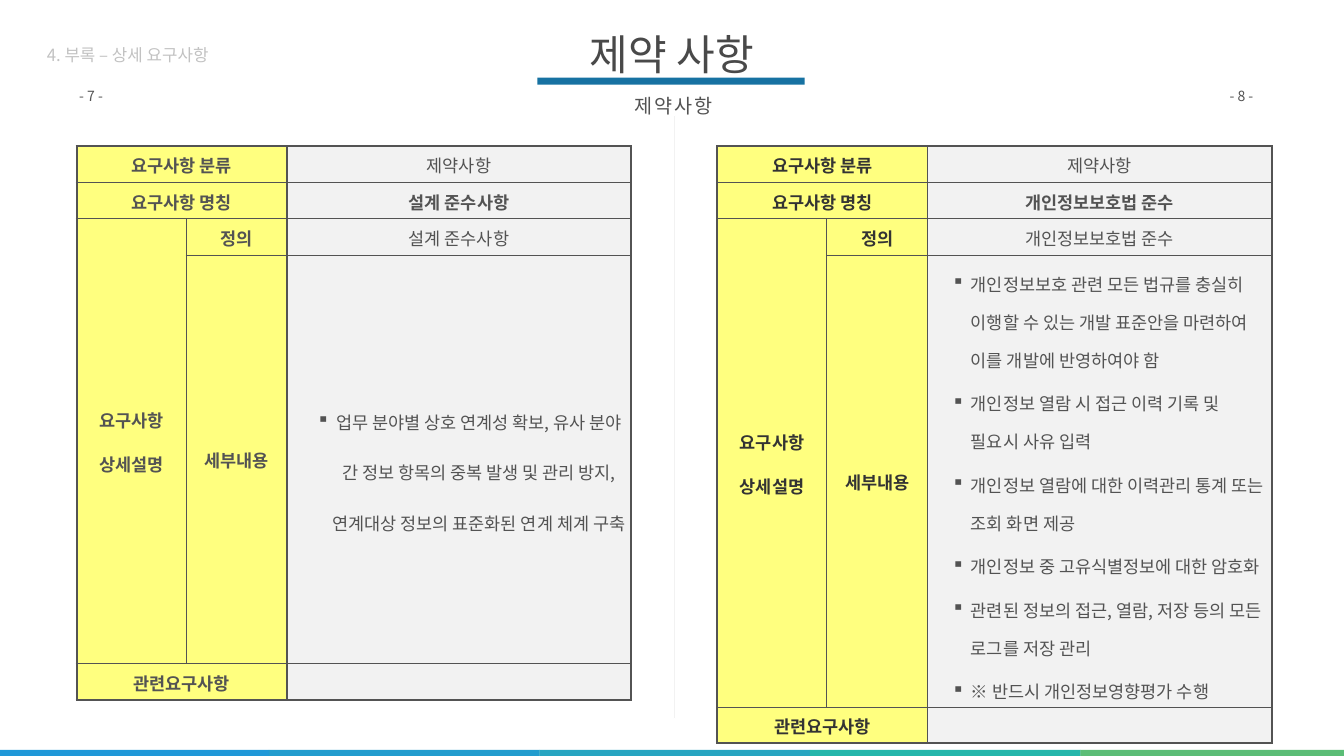
import pptx
import pptx.dml.color
import pptx.enum.shapes
import pptx.enum.text
import pptx.oxml
import pptx.oxml.ns
import pptx.util
from lxml import etree

Inches, Pt = pptx.util.Inches, pptx.util.Pt
qn = pptx.oxml.ns.qn
PP_ALIGN = pptx.enum.text.PP_ALIGN
MIDDLE = pptx.enum.text.MSO_ANCHOR.MIDDLE

COLORS = {
    "text": "535353", "dark": "333333", "title": "494949", "muted": "C2C2C2",
    "label": "FFFF00", "value": "F2F2F2", "white": "FFFFFF", "underline": "1772A2",
}
FOOTER_COLORS = ["1F98D8", "229CCE", "27A5C1", "24B6AB", "5BBD76"]
FONT = "Noto Sans CJK KR"

# Requirement tables: sizes in inches, border widths in points
COLUMN_WIDTHS = [2.17, 2, 6.83]
ROW_HEIGHTS = [0.72, 0.72, 0.72, 8.11, 0.72]
COLUMN_EDGES = [3, 1, 2.25, 3]
ROW_EDGES = [3, 1, 1, 1, 1, 3]
LABELS = {
    (0, 0): ["요구사항 분류"],
    (1, 0): ["요구사항 명칭"],
    (2, 0): ["요구사항", "상세설명"],
    (2, 1): ["정의"],
    (3, 1): ["세부내용"],
    (4, 0): ["관련요구사항"],
}
DESIGN_DETAILS = [
    "업무 분야별 상호 연계성 확보, 유사 분야 간 정보 항목의 중복 발생 및 관리 방지, "
    "연계대상 정보의 표준화된 연계 체계 구축",
]
PRIVACY_DETAILS = [
    "개인정보보호 관련 모든 법규를 충실히 이행할 수 있는 개발 표준안을 마련하여 이를 개발에 반영하여야 함",
    "개인정보 열람 시 접근 이력 기록 및 필요시 사유 입력",
    "개인정보 열람에 대한 이력관리 통계 또는 조회 화면 제공",
    "개인정보 중 고유식별정보에 대한 암호화",
    "관련된 정보의 접근, 열람, 저장 등의 모든 로그를 저장 관리",
    "※ 반드시 개인정보영향평가 수행",
]


def rgb(hex_color):
    return pptx.dml.color.RGBColor.from_string(hex_color)


class SlideBuilder:
    def __init__(self, slide):
        self.slide = slide

    def style(self, paragraph, size, color, bold=False, spacing=None):
        font = paragraph.font
        font.name, font.size, font.bold = FONT, Pt(size), bold
        font.color.rgb = rgb(color)
        properties = paragraph._p.pPr.find(qn("a:defRPr"))
        latin = properties.find(qn("a:latin"))
        east_asian = etree.Element(qn("a:ea"), typeface=FONT)
        latin.addnext(east_asian)
        if spacing:
            properties.set("spc", str(spacing * 100))

    def bullet(self, paragraph):
        properties = paragraph._p.get_or_add_pPr()
        properties.set("marL", str(Inches(0.79)))
        properties.set("indent", str(Inches(-0.38)))
        etree.SubElement(properties, qn("a:buSzPct"), val="99000")
        etree.SubElement(properties, qn("a:buChar"), char="▪")

    def rect(self, left, top, width, height, color, outline=None, rotation=0):
        shape = self.slide.shapes.add_shape(
            pptx.enum.shapes.MSO_SHAPE.RECTANGLE,
            Inches(left), Inches(top), Inches(width), Inches(height))
        shape.shadow.inherit = False
        shape.rotation = rotation
        shape.fill.solid()
        shape.fill.fore_color.rgb = rgb(color)
        if outline:
            shape.line.color.rgb = rgb(outline)
            shape.line.width = Pt(1)
        else:
            shape.line.fill.background()

    def title(self, left, top, width, height, words):
        heading = self.slide.shapes.title
        heading.left, heading.top = Inches(left), Inches(top)
        heading.width, heading.height = Inches(width), Inches(height)
        heading.text_frame.text = words
        heading.text_frame.vertical_anchor = MIDDLE
        paragraph = heading.text_frame.paragraphs[0]
        paragraph.alignment = PP_ALIGN.CENTER
        self.style(paragraph, 60, COLORS["title"])

    def text(self, left, top, width, height, words, size, color,
             insets=(0.05, 0.05), wrap=True, align=PP_ALIGN.LEFT,
             line_spacing=1.0, space_before=0, spacing=None):
        frame = self.slide.shapes.add_textbox(
            Inches(left), Inches(top), Inches(width), Inches(height)).text_frame
        frame.margin_left = frame.margin_right = Inches(insets[0])
        frame.margin_top = frame.margin_bottom = Inches(insets[1])
        frame.word_wrap = wrap
        frame.text = words
        paragraph = frame.paragraphs[0]
        paragraph.alignment = align
        paragraph.line_spacing = line_spacing
        paragraph.space_before = Pt(space_before)
        self.style(paragraph, size, color, spacing=spacing)

    def borders(self, cell, row, column):
        widths = {
            "a:lnL": COLUMN_EDGES[column],
            "a:lnR": COLUMN_EDGES[column + cell.span_width],
            "a:lnT": ROW_EDGES[row],
            "a:lnB": ROW_EDGES[row + cell.span_height],
        }
        for position, (tag, width) in enumerate(widths.items()):
            line = etree.Element(qn(tag), w=str(Pt(width)))
            fill = etree.SubElement(line, qn("a:solidFill"))
            etree.SubElement(fill, qn("a:srgbClr"), val=COLORS["text"])
            cell._tc.get_or_add_tcPr().insert(position, line)

    def cell(self, cell, lines, color, is_label=False, bold=False,
             bulleted=False, align=PP_ALIGN.CENTER, line_spacing=1.07):
        cell.vertical_anchor = MIDDLE
        inset = Inches(0.01 if is_label else 0.07)
        cell.margin_left = cell.margin_right = inset
        cell.margin_top = cell.margin_bottom = inset
        cell.fill.solid()
        cell.fill.fore_color.rgb = rgb(COLORS["label" if is_label else "value"])
        if is_label:
            shade = cell._tc.tcPr.find(".//" + qn("a:srgbClr"))
            etree.SubElement(shade, qn("a:alpha"), val="50000")
        cell.text_frame.text = "\n".join(lines)
        for paragraph in cell.text_frame.paragraphs:
            paragraph.alignment = align
            paragraph.line_spacing = line_spacing
            paragraph.space_before = Pt(12 if is_label else 0)
            paragraph.space_after = Pt(12 if is_label else 8)
            if bulleted:
                self.bullet(paragraph)
            self.style(paragraph, 25, color, bold)

    def requirement(self, left, name, details, label_color, detail_align, detail_spacing):
        table = self.slide.shapes.add_table(
            len(ROW_HEIGHTS), len(COLUMN_WIDTHS), Inches(left), Inches(2.9),
            Inches(sum(COLUMN_WIDTHS)), Inches(sum(ROW_HEIGHTS))).table
        table.first_row = table.horz_banding = False
        for column, width in zip(table.columns, COLUMN_WIDTHS):
            column.width = Inches(width)
        for row, height in zip(table.rows, ROW_HEIGHTS):
            row.height = Inches(height)
        for row in (0, 1, 4):
            table.cell(row, 0).merge(table.cell(row, 1))
        table.cell(2, 0).merge(table.cell(3, 0))

        for (row, column), lines in LABELS.items():
            self.cell(table.cell(row, column), lines, label_color, is_label=True, bold=True)
        for row, words in enumerate(["제약사항", name, name]):
            self.cell(table.cell(row, 2), [words], COLORS["text"], bold=row == 1)
        self.cell(table.cell(3, 2), details, COLORS["text"], bulleted=True,
                  align=detail_align, line_spacing=detail_spacing)
        self.cell(table.cell(4, 2), [""], COLORS["text"])

        for row in range(len(ROW_HEIGHTS)):
            for column in range(len(COLUMN_WIDTHS)):
                cell = table.cell(row, column)
                if not cell.is_spanned:
                    self.borders(cell, row, column)


def main():
    presentation = pptx.Presentation()
    presentation.slide_width, presentation.slide_height = Inches(26.66), Inches(15)
    title_only = presentation.slide_layouts[5]
    builder = SlideBuilder(presentation.slides.add_slide(title_only))

    # Footer strip
    for index, color in enumerate(FOOTER_COLORS):
        builder.rect(-0.03 + 5.365 * index, 14.88, 5.37, 0.2, color)

    # Two requirement tables and the divider between them
    builder.requirement(1.52, "설계 준수사항", DESIGN_DETAILS, COLORS["text"],
                        PP_ALIGN.CENTER, 2.0)
    builder.rect(7.4, 8.25, 11.96, 0.05, COLORS["value"], COLORS["white"], rotation=90)
    builder.requirement(14.23, "개인정보보호법 준수", PRIVACY_DETAILS, COLORS["dark"],
                        PP_ALIGN.LEFT, 1.5)

    # Page numbers
    builder.text(1.52, 1.68, 0.94, 0.44, "- 7 -", 20, COLORS["text"])
    builder.text(24.34, 1.68, 0.9, 0.44, "- 8 -", 20, COLORS["text"])

    # Heading, underline, subtitle and section label
    builder.rect(10.66, 1.54, 5.3, 0.14, COLORS["underline"])
    builder.text(12.33, 1.65, 2.05, 0.78, "제약사항", 28, COLORS["text"],
                 insets=(0.24, 0.12), wrap=False, align=PP_ALIGN.CENTER,
                 line_spacing=1.2, space_before=5.6, spacing=3)
    builder.title(10.53, 0.44, 5.6, 1.24, "제약 사항")
    builder.text(0.83, 0.89, 3.5, 0.5, "4. 부록 – 상세 요구사항", 24, COLORS["muted"],
                 insets=(0.1, 0.05), line_spacing=0.9)

    presentation.save("out.pptx")


if __name__ == "__main__":
    main()
